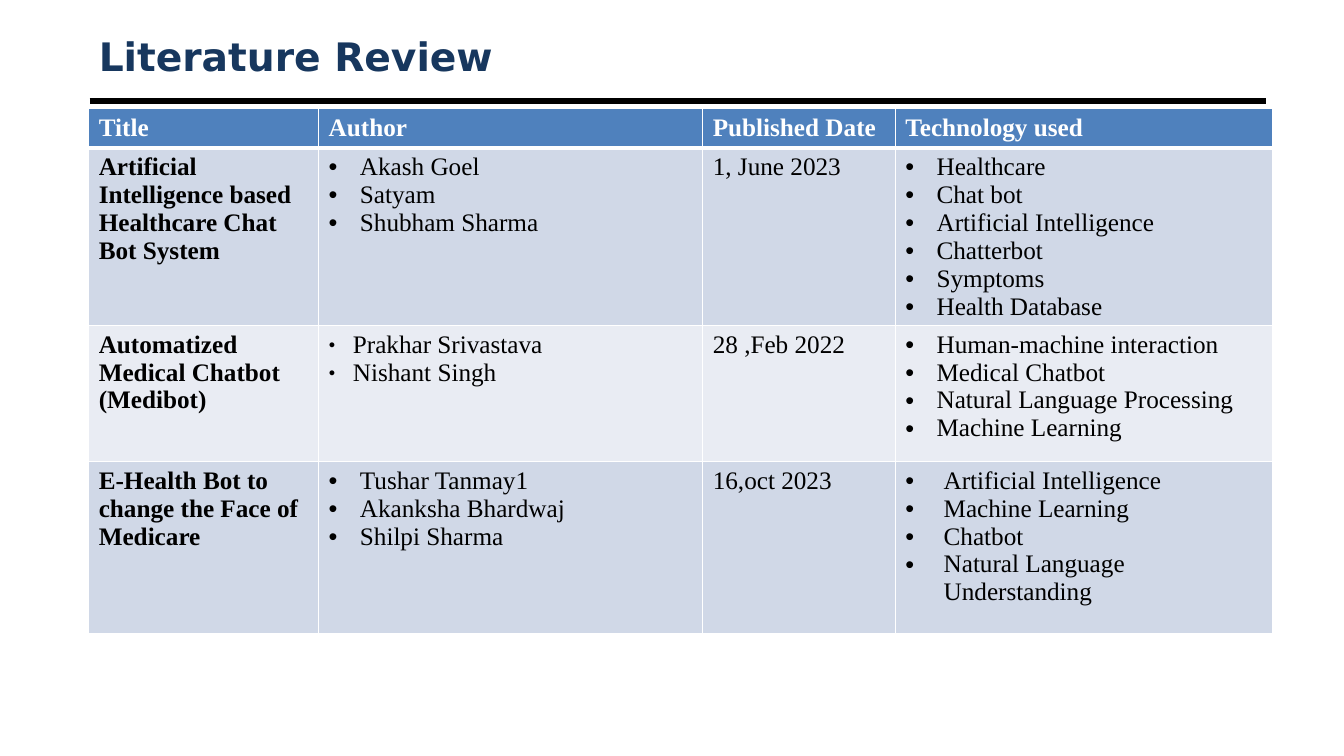
from dataclasses import dataclass

from lxml.etree import SubElement
from pptx import Presentation
from pptx.dml.color import RGBColor
from pptx.enum.shapes import MSO_CONNECTOR
from pptx.enum.text import MSO_ANCHOR, PP_ALIGN
from pptx.oxml import parse_xml
from pptx.oxml.ns import nsdecls, qn
from pptx.util import Inches, Pt


@dataclass(frozen=True)
class Theme:
    heading_font: str = "DejaVu Sans"
    body_font: str = "Times New Roman"
    heading_size: int = 28
    body_size: int = 18
    heading: str = "17375E"
    ink: str = "000000"
    white: str = "FFFFFF"
    header_fill: str = "4F81BD"
    band_fills: tuple = ("D0D8E7", "E9ECF3")


@dataclass(frozen=True)
class Bullet:
    char: str = "•"
    indent: float = 0.31
    percent: int = 100


THEME = Theme()
DOT = Bullet()
SMALL_DOT = Bullet("●", 0.24, 45)
WIDE_DOT = Bullet(indent=0.38)

COLUMN_WIDTHS = (2.28, 3.81, 1.91, 3.74)
ROW_HEIGHTS = (0.39, 1.56, 1.35, 1.7)
HEADERS = ("Title", "Author", "Published Date", "Technology used")
# Each paper: title, authors, author bullet, date, technologies, technology bullet
PAPERS = (
    ("Artificial Intelligence based Healthcare Chat Bot System",
     ("Akash Goel", "Satyam", "Shubham Sharma"), DOT,
     "1, June 2023",
     ("Healthcare", "Chat bot", "Artificial Intelligence", "Chatterbot",
      "Symptoms", "Health Database"), DOT),
    ("Automatized Medical Chatbot (Medibot)",
     ("Prakhar Srivastava", "Nishant Singh"), SMALL_DOT,
     "28 ,Feb 2022",
     ("Human-machine interaction", "Medical Chatbot",
      "Natural Language Processing", "Machine Learning"), DOT),
    ("E-Health Bot to change the Face of Medicare",
     ("Tushar Tanmay1", "Akanksha Bhardwaj", "Shilpi Sharma"), DOT,
     "16,oct 2023",
     ("Artificial Intelligence", "Machine Learning", "Chatbot",
      "Natural Language Understanding"), WIDE_DOT),
)


def write_text(paragraph, text, font=THEME.body_font, size=THEME.body_size,
               color=THEME.ink, bold=False, bullet=None):
    paragraph.alignment = PP_ALIGN.LEFT
    run = paragraph.add_run()
    run.text = text
    run.font.name = font
    run.font.size = Pt(size)
    run.font.bold = bold
    run.font.color.rgb = RGBColor.from_string(color)
    if bullet:
        add_bullet(paragraph, bullet, color)


def add_bullet(paragraph, bullet, color):
    properties = paragraph._p.get_or_add_pPr()
    properties.set("marL", str(Inches(bullet.indent)))
    properties.set("indent", str(-Inches(bullet.indent)))
    bullet_color = SubElement(properties, qn("a:buClr"))
    SubElement(bullet_color, qn("a:srgbClr"), val=color)
    SubElement(properties, qn("a:buSzPct"), val=str(bullet.percent * 1000))
    SubElement(properties, qn("a:buFont"), typeface="Arial")
    SubElement(properties, qn("a:buChar"), char=bullet.char)


def write_list(cell, items, bullet):
    frame = cell.text_frame
    for index, item in enumerate(items):
        paragraph = frame.add_paragraph() if index else frame.paragraphs[0]
        write_text(paragraph, item, bullet=bullet)


def style_cell(cell, fill, top=0.96, bottom=0.96):
    """Fill the cell and draw its white borders, widths in points."""
    cell.fill.solid()
    cell.fill.fore_color.rgb = RGBColor.from_string(fill)
    widths = {"lnL": 0.96, "lnR": 0.96, "lnT": top, "lnB": bottom}
    for position, (side, width) in enumerate(widths.items()):
        border = parse_xml(
            f'<a:{side} {nsdecls("a")} w="{Pt(width)}"><a:solidFill>'
            f'<a:srgbClr val="{THEME.white}"/></a:solidFill></a:{side}>')
        cell._tc.get_or_add_tcPr().insert(position, border)


def add_heading(slide, text):
    title = slide.shapes.title
    title.left, title.top = Inches(0.88), Inches(0.27)
    title.width, title.height = Inches(5.12), Inches(0.57)
    title.text_frame.vertical_anchor = MSO_ANCHOR.MIDDLE
    write_text(title.text_frame.paragraphs[0], text, font=THEME.heading_font,
               size=THEME.heading_size, color=THEME.heading, bold=True)


def add_rule(slide):
    rule = slide.shapes.add_connector(
        MSO_CONNECTOR.STRAIGHT, Inches(0.89), Inches(1), Inches(12.56), Inches(1))
    rule.line.color.rgb = RGBColor.from_string(THEME.ink)
    rule.line.width = Pt(4.5)
    SubElement(rule._element.spPr, qn("a:effectLst"))


def add_review_table(slide):
    table = slide.shapes.add_table(
        len(ROW_HEIGHTS), len(COLUMN_WIDTHS), Inches(0.88), Inches(1.08),
        Inches(sum(COLUMN_WIDTHS)), Inches(sum(ROW_HEIGHTS))).table
    table.horz_banding = False
    for column, width in zip(table.columns, COLUMN_WIDTHS):
        column.width = Inches(width)
    for row, height in zip(table.rows, ROW_HEIGHTS):
        row.height = Inches(height)

    for column, header in enumerate(HEADERS):
        cell = table.cell(0, column)
        style_cell(cell, THEME.header_fill, bottom=3)
        write_text(cell.text_frame.paragraphs[0], header,
                   color=THEME.white, bold=True)

    for index, paper in enumerate(PAPERS):
        name, authors, author_bullet, date, technologies, technology_bullet = paper
        cells = [table.cell(index + 1, column) for column in range(len(HEADERS))]
        for cell in cells:
            style_cell(cell, THEME.band_fills[index % 2],
                       top=0.96 if index else 3)
        name_cell, author_cell, date_cell, technology_cell = cells
        write_text(name_cell.text_frame.paragraphs[0], name, bold=True)
        write_list(author_cell, authors, author_bullet)
        write_text(date_cell.text_frame.paragraphs[0], date)
        write_list(technology_cell, technologies, technology_bullet)


def main():
    presentation = Presentation()
    presentation.slide_width = Inches(13.33)
    presentation.slide_height = Inches(7.5)
    slide = presentation.slides.add_slide(presentation.slide_layouts[5])
    add_rule(slide)
    add_review_table(slide)
    add_heading(slide, "Literature Review")
    presentation.save("out.pptx")


if __name__ == "__main__":
    main()
